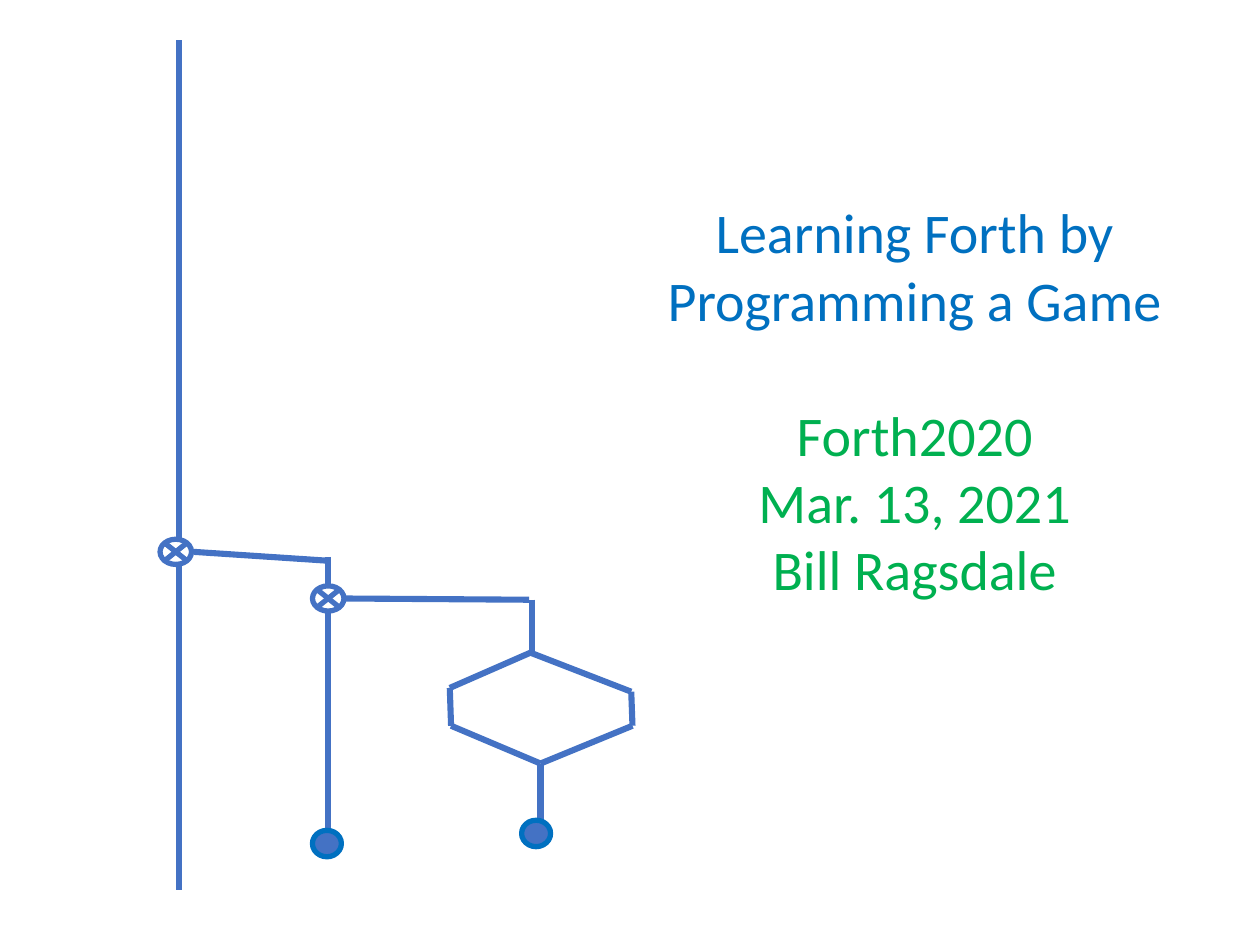
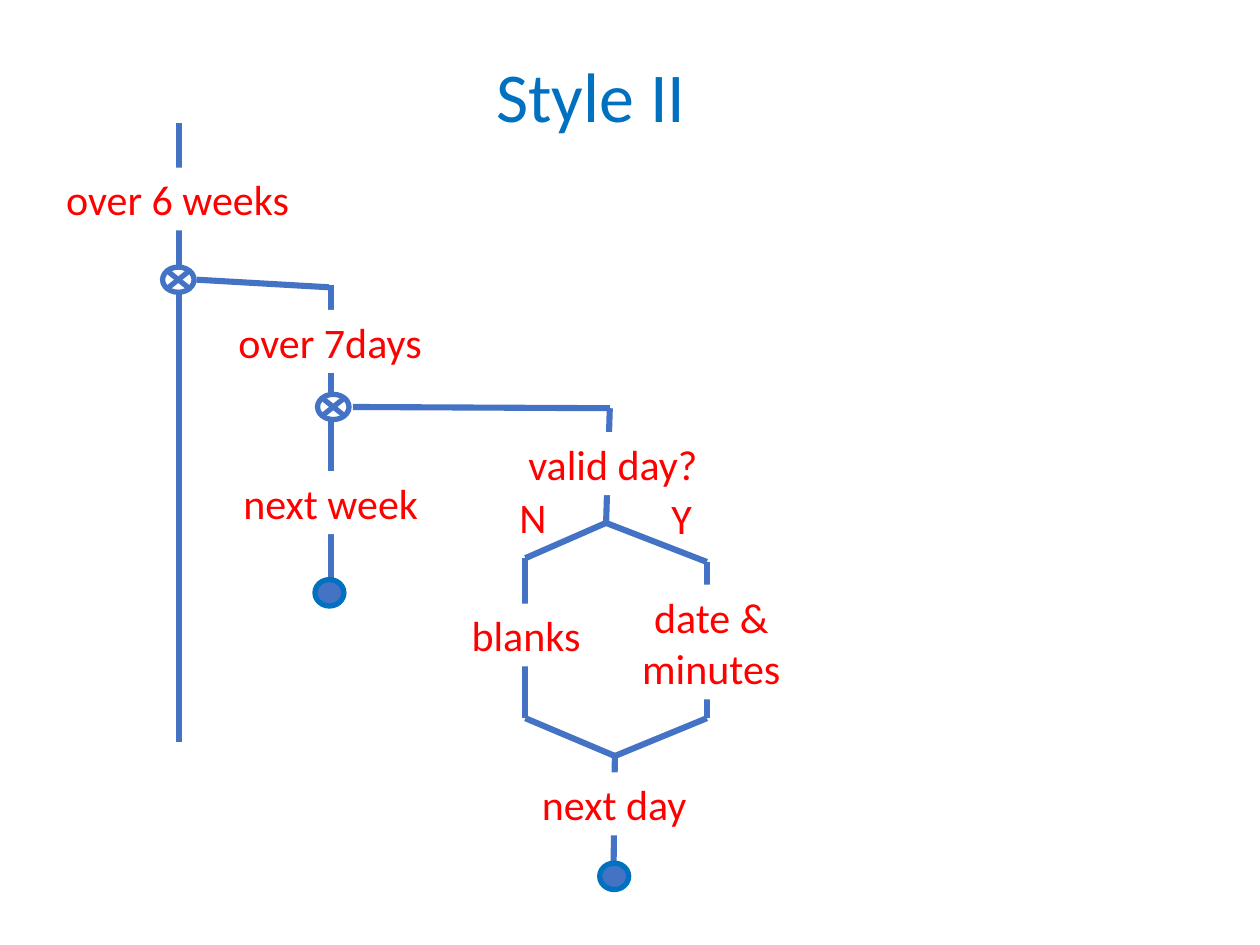
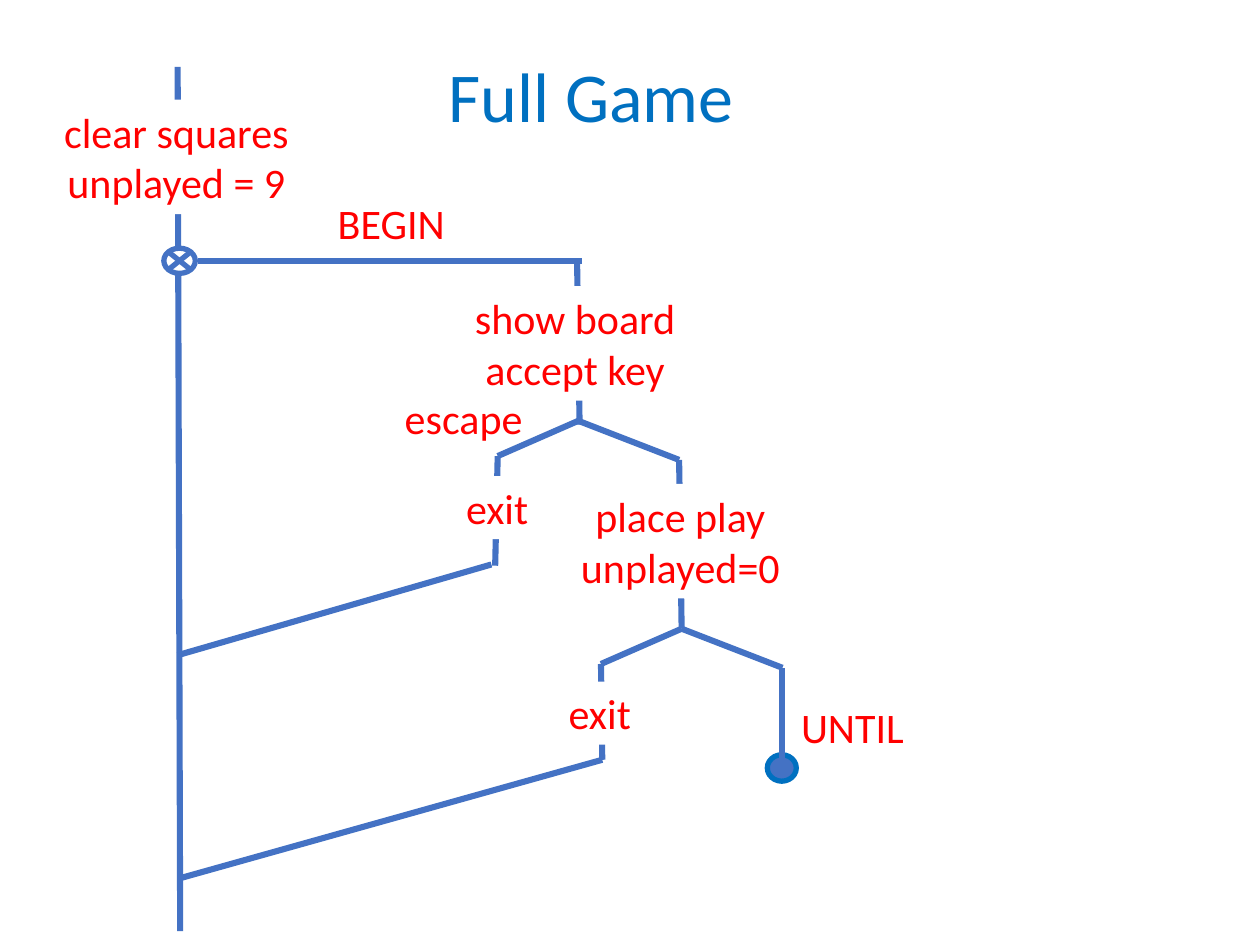
from itertools import pairwise

from lxml import etree
from pptx import Presentation
from pptx import util as u
from pptx.dml.color import RGBColor
from pptx.enum import shapes, text
from pptx.oxml import ns

COLS, ROWS = 10, 7.5  # grid of one-inch cells
FONT = "Calibri"
BLUE, DEEP, GREEN, RED, WHITE = "4472C4", "0070C0", "00B050", "FF0000", "FFFFFF"
WIRE, EDGE = 3.5, 3  # line widths in points
KIND = shapes.MSO_SHAPE


def cells(*nums):
    """Turn grid cells into lengths."""
    return [u.Inches(round(n, 2)) for n in nums]


def paint(form, color):
    """Set a fill or font colour from a hex string."""
    form.rgb = RGBColor.from_string(color)


def write(frame, words, size, color):
    """Fill a text frame with centred text, one paragraph per line."""
    frame.text = words
    frame.word_wrap = True
    frame.auto_size = text.MSO_AUTO_SIZE.SHAPE_TO_FIT_TEXT
    for para in frame.paragraphs:
        para.alignment = text.PP_ALIGN.CENTER
        para.font.name = FONT
        para.font.size = u.Pt(size)
        paint(para.font.color, color)


def title(slide, words, box=(0.78, 0.37, 7.82, 0.77), size=40):
    """Place and format the title; return its paragraphs."""
    head = slide.shapes.title
    head.left, head.top, head.width, head.height = cells(*box)
    write(head.text_frame, words, size, DEEP)
    head.text_frame.vertical_anchor = text.MSO_ANCHOR.TOP
    return head.text_frame.paragraphs


def wire(slide, *points):
    """Join the points in turn with straight lines."""
    for start, end in pairwise(points):
        line = slide.shapes.add_connector(
            shapes.MSO_CONNECTOR.STRAIGHT, *cells(*start, *end))
        paint(line.line.color, BLUE)
        line.line.width = u.Pt(WIRE)
        etree.SubElement(line._element.spPr, ns.qn("a:effectLst"))


def fork(slide, x, y):
    """Split the flow below a point; return the left and right ends."""
    left, right = (x - 0.64, y + 0.28), (x + 0.8, y + 0.31)
    wire(slide, left, (x, y), right)
    return left, right


def merge(slide, x, y):
    """Bring two branches together at a point; return their ends."""
    left, right = (x - 0.71, y - 0.3), (x + 0.73, y - 0.3)
    wire(slide, left, (x, y), right)
    return left, right


def mark(slide, kind, x, y, wide, high, fill, edge):
    """Draw an outlined shape centred on a point."""
    form = slide.shapes.add_shape(
        kind, *cells(x - wide / 2, y - high / 2, wide, high))
    form.shadow.inherit = False
    form.fill.solid()
    paint(form.fill.fore_color, fill)
    paint(form.line.color, edge)
    form.line.width = u.Pt(EDGE)


def loop(slide, x, y):
    """Draw the crossed circle where a loop leaves its trunk."""
    mark(slide, KIND.FLOWCHART_SUMMING_JUNCTION, x, y, 0.25, 0.2, WHITE, BLUE)


def dot(slide, x, y):
    """Draw the dot that ends a branch."""
    mark(slide, KIND.OVAL, x, y, 0.23, 0.21, BLUE, DEEP)


def label(slide, words, left, top, wide, rows=1, solid=True):
    """Write a red step, on a white box that hides the wire if solid."""
    box = cells(left, top, wide, 0.09 + 0.41 * rows)
    if solid:
        form = slide.shapes.add_shape(KIND.RECTANGLE, *box)
        form.shadow.inherit = False
        form.fill.solid()
        paint(form.fill.fore_color, WHITE)
        form.line.fill.background()
    else:
        form = slide.shapes.add_textbox(*box)
    write(form.text_frame, words, 24, RED)


def cover(slide):
    """Build the opening slide with an unlabelled flow."""
    paras = title(slide, "Learning Forth by Programming a Game\n"
                  "Forth2020\nMar. 13, 2021\nBill Ragsdale",
                  (5.07, 1.52, 4.38, 3.33), 32)
    for para in paras[1:]:
        paint(para.font.color, GREEN)
    paras[1].space_before = u.Pt(39)

    wire(slide, (1.42, 0.32), (1.42, 7.06))
    wire(slide, (1.54, 4.38), (2.6, 4.45))
    wire(slide, (2.6, 4.42), (2.6, 6.62))
    wire(slide, (2.74, 4.75), (4.2, 4.76))
    wire(slide, (4.22, 4.76), (4.22, 5.19))
    tops = fork(slide, 4.21, 5.18)
    ends = merge(slide, 4.29, 6.06)
    for top, end in zip(tops, ends):
        wire(slide, top, end)
    wire(slide, (4.29, 6.06), (4.29, 6.62))
    loop(slide, 1.4, 4.38)
    loop(slide, 2.61, 4.75)
    dot(slide, 2.6, 6.7)
    dot(slide, 4.26, 6.62)


def style(slide):
    """Build the calendar flow."""
    title(slide, "Style II")
    label(slide, "Y", 5.12, 3.86, 0.58)
    label(slide, "N", 3.94, 3.85, 0.58)

    wire(slide, (1.42, 0.98), (1.42, 5.89))
    wire(slide, (1.56, 2.22), (2.61, 2.28))
    wire(slide, (2.63, 2.26), (2.63, 4.64))
    wire(slide, (2.8, 3.23), (4.84, 3.24))
    wire(slide, (4.84, 3.24), (4.81, 4.16))
    tops = fork(slide, 4.81, 4.15)
    ends = merge(slide, 4.88, 6)
    for top, end in zip(tops, ends):
        wire(slide, top, end)
    wire(slide, (4.88, 6), (4.87, 6.88))
    loop(slide, 1.42, 2.22)
    loop(slide, 2.65, 3.23)
    dot(slide, 2.62, 4.71)
    dot(slide, 4.88, 6.96)

    label(slide, "over 6 weeks", 0.36, 1.33, 2.1)
    label(slide, "over 7days", 1.72, 2.46, 1.8)
    label(slide, "valid day?", 3.71, 3.43, 2.31)
    label(slide, "date & minutes", 4.74, 4.64, 1.81, rows=2)
    label(slide, "blanks", 3.53, 4.79, 1.29)
    label(slide, "next day", 3.72, 6.13, 2.31)
    label(slide, "next week", 1.78, 3.74, 1.69)


def game(slide):
    """Build the flow of the whole game."""
    title(slide, "Full Game")
    dot(slide, 6.21, 6.1)

    wire(slide, (1.41, 0.53), (1.43, 7.39))
    wire(slide, (1.57, 2.07), (4.62, 2.07))
    wire(slide, (4.58, 2.07), (4.6, 3.37))
    left, right = fork(slide, 4.59, 3.34)
    wire(slide, left, (3.93, 4.49))
    wire(slide, (3.9, 4.48), (1.41, 5.2))
    wire(slide, right, (5.41, 4.99))
    left, right = fork(slide, 5.41, 4.99)
    wire(slide, left, (4.78, 6.03), (1.43, 6.97))
    wire(slide, right, (6.21, 6.04))
    loop(slide, 1.43, 2.07)

    label(slide, "clear squares\nunplayed = 9", 0.35, 0.79, 2.1, rows=2)
    label(slide, "BEGIN", 2.26, 1.52, 1.69)
    label(slide, "show board\vaccept key", 3.41, 2.27, 2.31, rows=2)
    label(slide, "escape", 3.08, 3.07, 1.2, solid=False)
    label(slide, "exit", 3.3, 3.78, 1.29)
    label(slide, "place play\nunplayed=0", 4.42, 3.84, 1.96, rows=2)
    label(slide, "exit", 4.14, 5.41, 1.24)
    label(slide, "UNTIL", 6.12, 5.52, 1.29, solid=False)


def main():
    """Build and save the deck."""
    deck = Presentation()
    deck.slide_width, deck.slide_height = cells(COLS, ROWS)
    plain = deck.slide_layouts.get_by_name("Title Only")
    for build in (cover, style, game):
        build(deck.slides.add_slide(plain))
    deck.save("out.pptx")


main()
